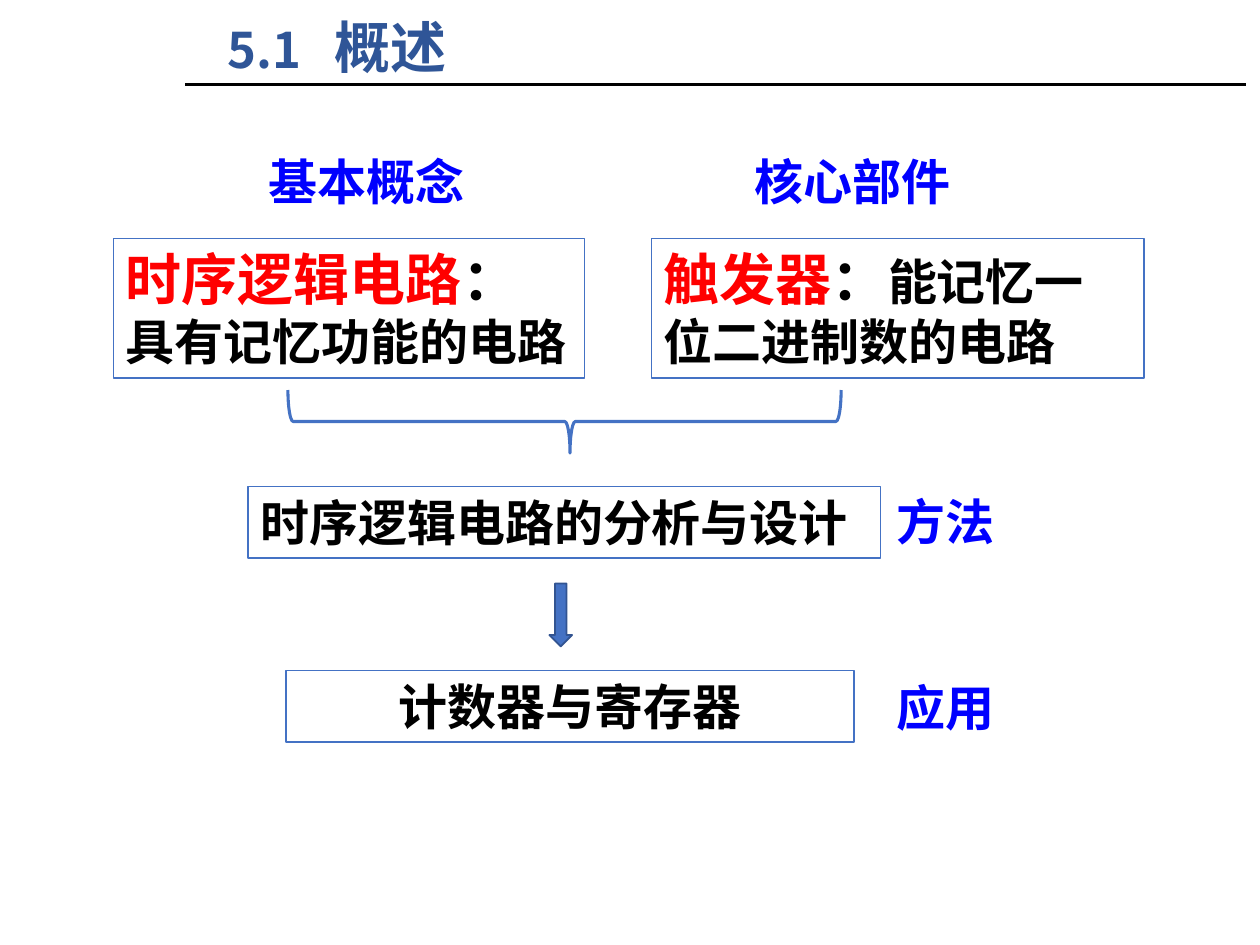
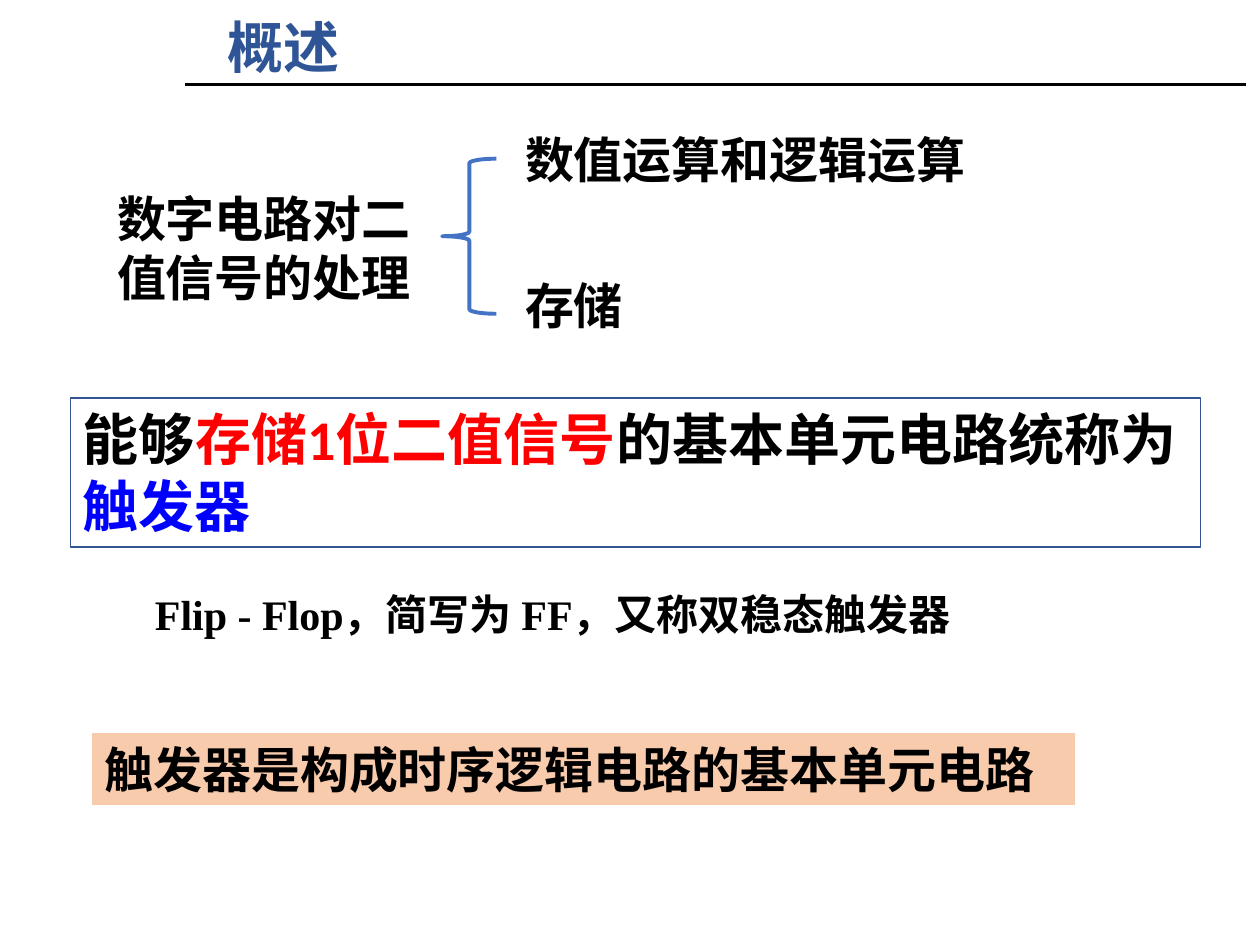
from lxml import etree
from pptx import Presentation
from pptx.dml.color import RGBColor
from pptx.enum import shapes, text
from pptx.oxml import ns
from pptx.util import Pt

BLACK = RGBColor(0x00, 0x00, 0x00)
RED = RGBColor(0xFF, 0x00, 0x00)
BLUE = RGBColor(0x00, 0x00, 0xFF)
TITLE_BLUE = RGBColor(0x2F, 0x55, 0x97)
LINE_BLUE = RGBColor(0x44, 0x72, 0xC4)
DARK_BLUE = RGBColor(0x32, 0x54, 0x91)
PEACH = RGBColor(0xF8, 0xCB, 0xAD)

CJK = "Noto Sans CJK SC"
LATIN = "Calibri"
SERIF = "Times New Roman"
ROW_HEIGHT = 41  # one line of 28 pt text with its margins


def points(*lengths):
    return [Pt(length) for length in lengths]


def write(paragraph, words, size=28, color=BLACK, font=CJK):
    """Append a bold run, with Chinese characters always in the CJK face."""
    run = paragraph.add_run()
    run.text = words
    run.font.size = Pt(size)
    run.font.bold = True
    run.font.color.rgb = color
    run.font.name = font
    etree.SubElement(run.font._element, ns.qn("a:ea"), typeface=CJK)


def fill_text(frame, content, align=text.PP_ALIGN.LEFT, **style):
    """Content is a string, or a list of paragraphs of (words, overrides) runs."""
    frame.word_wrap = True
    frame.vertical_anchor = text.MSO_ANCHOR.TOP
    paragraphs = [[(content, {})]] if isinstance(content, str) else content
    for index, runs in enumerate(paragraphs):
        paragraph = frame.add_paragraph() if index else frame.paragraphs[0]
        paragraph.alignment = align
        for words, overrides in runs:
            write(paragraph, words, **{**style, **overrides})


def add_label(slide, place, content, **style):
    label = slide.shapes.add_textbox(*points(*place))
    fill_text(label.text_frame, content, **style)
    return label


def add_figure(slide, kind, place, fill=None, line=None, weight=0.75):
    figure = slide.shapes.add_shape(kind, *points(*place))
    figure.shadow.inherit = False
    if fill is None:
        figure.fill.background()
    else:
        figure.fill.solid()
        figure.fill.fore_color.rgb = fill
    if line is None:
        figure.line.fill.background()
    else:
        figure.line.color.rgb = line
        figure.line.width = Pt(weight)
    return figure


def add_box(slide, place, content, fill=None, line=LINE_BLUE, **style):
    box = add_figure(slide, shapes.MSO_SHAPE.RECTANGLE, place, fill, line)
    fill_text(box.text_frame, content, **style)


def add_brace(slide, place, weight, rotation=0, tip=0.5):
    brace = add_figure(slide, shapes.MSO_SHAPE.LEFT_BRACE, place,
                       line=LINE_BLUE, weight=weight)
    brace.rotation = rotation
    brace.adjustments[1] = tip


def add_titled_slide(deck, title_runs):
    slide = deck.slides.add_slide(deck.slide_layouts[6])
    rule = slide.shapes.add_connector(
        shapes.MSO_CONNECTOR.STRAIGHT, *points(105.8, 48.3, 712, 48.3))
    rule.line.color.rgb = BLACK
    rule.line.width = Pt(1.25)
    etree.SubElement(rule._element.spPr, ns.qn("a:effectLst"))
    title = add_label(slide, (123.1, 3.6, 360, 46), [title_runs],
                      size=32, color=TITLE_BLUE)
    tabs = etree.SubElement(title.text_frame.paragraphs[0]._p.get_or_add_pPr(),
                            ns.qn("a:tabLst"))
    etree.SubElement(tabs, ns.qn("a:tab"), pos=str(Pt(61)), algn="l")
    return slide


def build_chapter_map(deck):
    slide = add_titled_slide(deck, [("5.1\t", {"size": 28}), ("概述", {})])
    term, colon = {"size": 32, "color": RED}, ("：", {"size": 32})

    add_box(slide, (64.8, 136.1, 269.3, 79.9),
            [[("时序逻辑电路", term), colon], [("具有记忆功能的电路", {})]])
    add_box(slide, (372.2, 136.1, 281.5, 79.9),
            [[("触发器", term), colon, ("能记忆一位二进制数的电路", {})]])
    add_brace(slide, (304.6, 82.8, 36, 316.1), 1.75, rotation=270, tip=0.51)
    add_box(slide, (141.8, 277.9, 361.4, ROW_HEIGHT), "时序逻辑电路的分析与设计")
    add_figure(slide, shapes.MSO_SHAPE.DOWN_ARROW, (313.9, 333.4, 13, 36),
               LINE_BLUE, DARK_BLUE, 1)
    add_box(slide, (163.4, 383, 324.7, ROW_HEIGHT), "计数器与寄存器",
            align=text.PP_ALIGN.CENTER)

    for left, top, heading in ((146.2, 82.8, "基本概念"), (424.1, 82.8, "核心部件"),
                               (505.4, 277.2, "方法"), (505.4, 383.8, "应用")):
        add_label(slide, (left, top, 132, ROW_HEIGHT), heading, color=BLUE)


def build_flip_flop(deck):
    slide = add_titled_slide(deck, [("概述", {})])

    add_label(slide, (59.8, 104.4, 187.2, 74.9), "数字电路对二值信号的处理")
    add_brace(slide, (252.7, 90.7, 31, 88.6), 2.25)
    for top, processing in ((70.6, "数值运算和逻辑运算"), (154.1, "存储")):
        add_label(slide, (293, top, 280.8, ROW_HEIGHT), processing, font=LATIN)

    add_box(slide, (40.3, 227.5, 645.8, 85),
            [[("能够", {}), ("存储1位二值信号", {"color": RED}),
              ("的基本单元电路统称为", {}), ("触发器", {"color": BLUE})]],
            line=DARK_BLUE, size=32, font=LATIN)
    add_label(slide, (81.4, 332.6, 475.9, 36),
              "Flip - Flop，简写为 FF，又称双稳态触发器", size=24, font=SERIF)
    add_box(slide, (52.6, 419, 561.6, ROW_HEIGHT),
            "触发器是构成时序逻辑电路的基本单元电路",
            fill=PEACH, line=None, font=LATIN)


def main():
    deck = Presentation()
    deck.slide_width, deck.slide_height = points(720, 540)
    build_chapter_map(deck)
    build_flip_flop(deck)
    deck.save("out.pptx")


if __name__ == "__main__":
    main()
